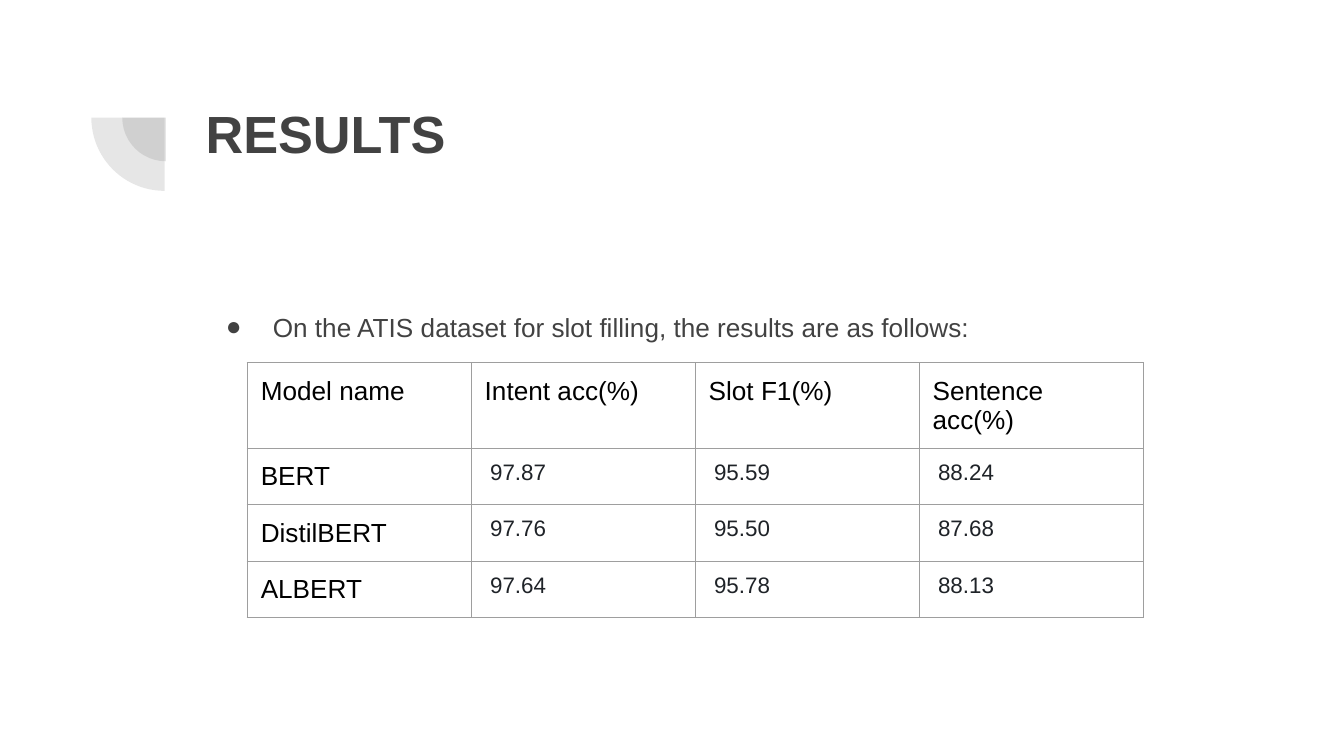
import pptx
import pptx.dml.color
import pptx.enum.shapes
import pptx.enum.text
import pptx.oxml
import pptx.oxml.ns
import pptx.util

Inches = pptx.util.Inches
Pt = pptx.util.Pt
GREY = "424242"
NAMESPACE = pptx.oxml.ns.nsdecls("a")
RESULTS = [
    ["Model name", "Intent acc(%)", "Slot F1(%)", "Sentence acc(%)"],
    ["BERT", "97.87", "95.59", "88.24"],
    ["DistilBERT", "97.76", "95.50", "87.68"],
    ["ALBERT", "97.64", "95.78", "88.13"],
]


def color(value):
    return pptx.dml.color.RGBColor.from_string(value)


def write(frame, text, size=14, fill=GREY, bold=False, spacing=1.0, after=0):
    paragraph = frame.paragraphs[0]
    paragraph.alignment = pptx.enum.text.PP_ALIGN.LEFT
    paragraph.line_spacing = spacing
    paragraph.space_before = Pt(0)
    paragraph.space_after = Pt(after)
    run = paragraph.add_run()
    run.text = text
    run.font.name = "Arial"
    run.font.size = Pt(size)
    run.font.bold = bold
    run.font.color.rgb = color(fill)
    return paragraph


def set_margins(holder, horizontal, vertical):
    holder.margin_left = holder.margin_right = Inches(horizontal)
    holder.margin_top = holder.margin_bottom = Inches(vertical)
    holder.vertical_anchor = pptx.enum.text.MSO_ANCHOR.TOP


def fill_placeholder(placeholder, top, height, text, **style):
    placeholder.left, placeholder.top = Inches(1.43), Inches(top)
    placeholder.width, placeholder.height = Inches(7.69), Inches(height)
    frame = placeholder.text_frame
    frame.word_wrap = True
    frame.auto_size = pptx.enum.text.MSO_AUTO_SIZE.NONE
    set_margins(frame, 0.1, 0.1)
    return write(frame, text, **style)


def add_bullet(paragraph):
    properties = paragraph._p.get_or_add_pPr()
    properties.set("marL", str(Inches(0.5)))
    properties.set("indent", str(-Inches(0.35)))
    for xml in (
        f'<a:buClr {NAMESPACE}><a:srgbClr val="{GREY}"/></a:buClr>',
        f'<a:buFont {NAMESPACE} typeface="Arial"/>',
        f'<a:buChar {NAMESPACE} char="●"/>',
    ):
        properties.append(pptx.oxml.parse_xml(xml))


def add_quarter(slide, left, top, size):
    quarter = slide.shapes.add_shape(
        pptx.enum.shapes.MSO_SHAPE.PIE,
        Inches(left), Inches(top), Inches(size), Inches(size),
    )
    quarter.rotation = 270
    quarter.adjustments[0] = 108
    quarter.adjustments[1] = 162
    quarter.shadow.inherit = False
    quarter.line.fill.background()
    quarter.fill.solid()
    quarter.fill.fore_color.rgb = color(GREY)
    tint = quarter._element.spPr.find(".//" + pptx.oxml.ns.qn("a:srgbClr"))
    tint.append(pptx.oxml.parse_xml(f'<a:alpha {NAMESPACE} val="13000"/>'))


def add_borders(cell):
    properties = cell._tc.get_or_add_tcPr()
    for side in "LRTB":
        properties.append(pptx.oxml.parse_xml(
            f'<a:ln{side} {NAMESPACE} w="{Pt(0.75)}"><a:solidFill>'
            f'<a:srgbClr val="9E9E9E"/></a:solidFill></a:ln{side}>'
        ))


def add_results(slide):
    heights = [0.58, 0.38, 0.38, 0.38]
    column_width = 5 / 3
    results = slide.shapes.add_table(
        len(RESULTS), len(RESULTS[0]), Inches(1.84), Inches(2.7),
        Inches(column_width * len(RESULTS[0])), Inches(sum(heights)),
    ).table
    results.first_row = results.horz_banding = False
    for column in results.columns:
        column.width = Inches(column_width)
    for row_index, values in enumerate(RESULTS):
        results.rows[row_index].height = Inches(heights[row_index])
        for column_index, value in enumerate(values):
            cell = results.cell(row_index, column_index)
            add_borders(cell)
            cell.fill.background()
            if row_index and column_index:
                set_margins(cell, 0.14, 0.06)
                write(cell.text_frame, value, size=12, fill="1F2328",
                      spacing=1.15, after=12)
            else:
                set_margins(cell, 0.1, 0.1)
                write(cell.text_frame, value, fill="000000")


def main():
    presentation = pptx.Presentation()
    presentation.slide_width = Inches(10)
    presentation.slide_height = Inches(10 * 9 / 16)
    slide = presentation.slides.add_slide(presentation.slide_layouts[1])
    add_quarter(slide, 0.91, 0.55, 0.65)
    add_quarter(slide, 0.68, 0.33, 1.09)
    title, body = slide.placeholders
    fill_placeholder(title, 0.65, 1.09, "RESULTS", size=28, bold=True)
    introduction = fill_placeholder(
        body, 2.18, 3.13,
        "On the ATIS dataset for slot filling, the results are as follows:",
        spacing=1.15,
    )
    add_bullet(introduction)
    add_results(slide)
    presentation.save("out.pptx")


if __name__ == "__main__":
    main()
